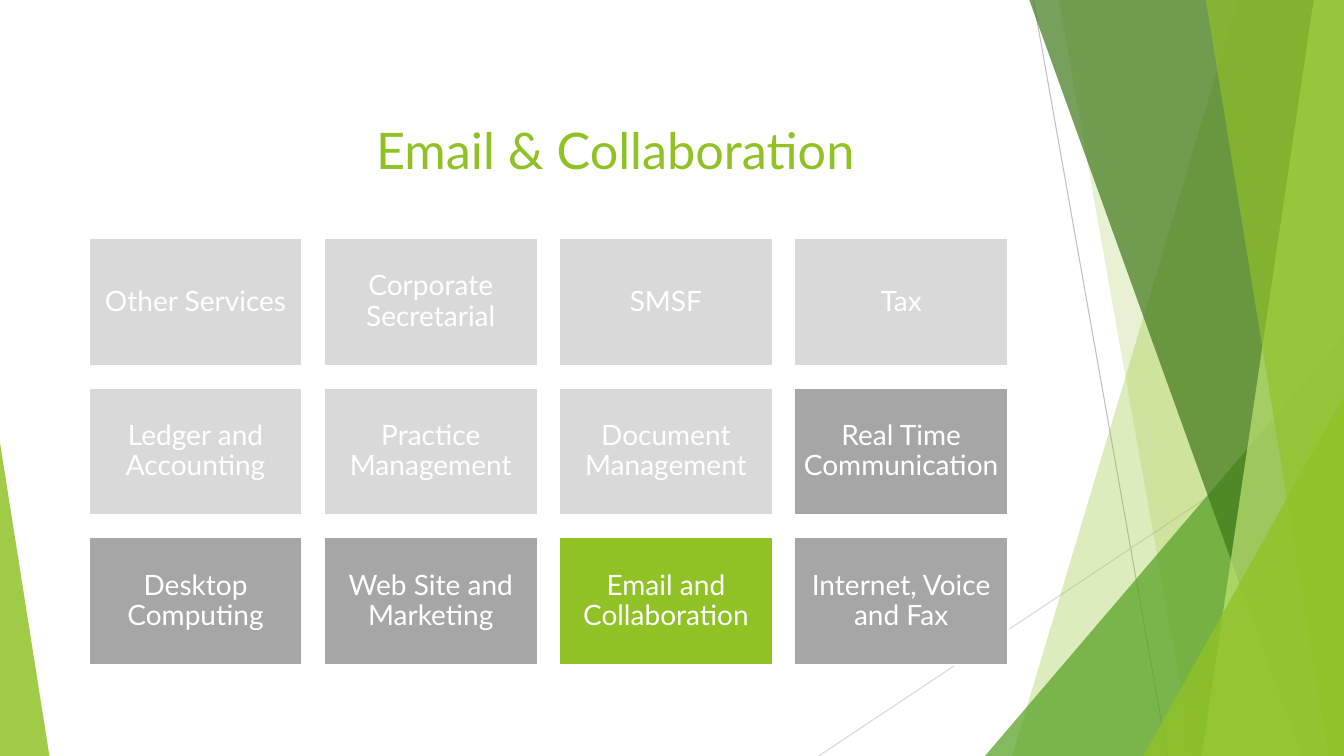
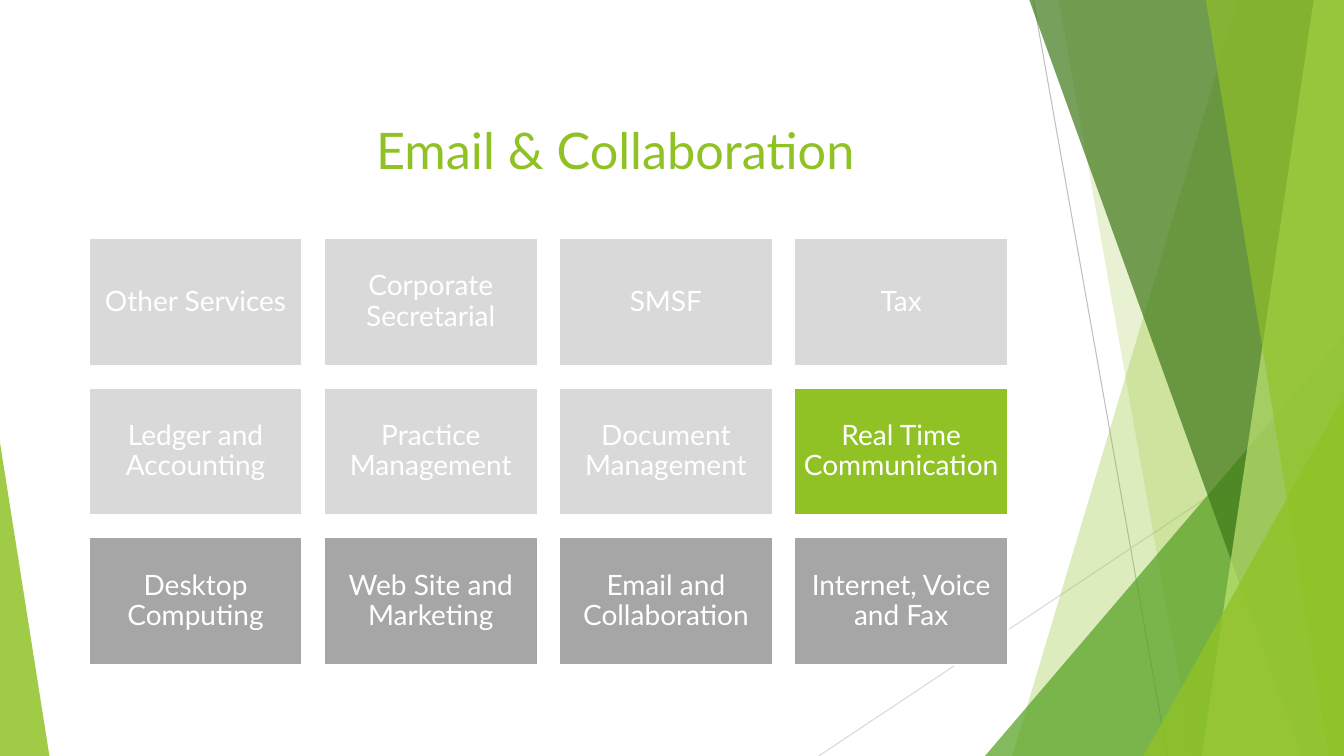
from lxml import etree
from pptx import Presentation, util as u
from pptx.dml.color import RGBColor
from pptx.enum import shapes, text
from pptx.oxml.ns import qn

COLORS = {
    "accent": "90C226",
    "leaf": "54A021",
    "forest": "3F7819",
    "lime": "C0E474",
    "light": "D9D9D9",
    "mid": "A6A6A6",
    "rule": "BFBFBF",
    "white": "FFFFFF",
}
FONT = "Lato"
WIDTH, HEIGHT = u.Inches(13.33), u.Inches(7.5)

SERVICES = [
    "Other Services", "Corporate Secretarial", "SMSF", "Tax",
    "Ledger and Accounting", "Practice Management", "Document Management",
    "Real Time Communication",
    "Desktop Computing", "Web Site and Marketing", "Email and Collaboration",
    "Internet, Voice and Fax",
]
LIGHT_SERVICES = SERVICES[:7]
TILE_COLUMNS = 4
TILE_LEFT, TILE_TOP = 6.6, 31.47
TILE_WIDTH, TILE_HEIGHT = 15.9, 16.93
COLUMN_STEP, ROW_STEP = 17.5, 19.8

RULES = [
    (76.89, 0, 86.87, 100, "rule"),
    (100, 53.73, 60.92, 100, "light"),
]
BACK_BANDS = [(92.12, 75.32, "accent", 30), (78.77, 88.75, "accent", 20)]
FRONT_BANDS = [
    (76.59, 96.85, "forest", 70),
    (97.75, 89.42, "lime", 70),
    (89.72, 98.87, "accent", 65),
]


def rgb(color):
    return RGBColor.from_string(COLORS[color])


def across(share):
    return round(WIDTH * share / 100)


def down(share):
    return round(HEIGHT * share / 100)


def box(left, top, width, height):
    return across(left), down(top), across(width), down(height)


def write(frame, words, *, size, color, align, anchor, inset=None, spacing=None):
    frame.word_wrap = True
    frame.auto_size = text.MSO_AUTO_SIZE.NONE
    frame.vertical_anchor = anchor
    if inset is not None:
        frame.margin_left = frame.margin_right = u.Inches(inset)
        frame.margin_top = frame.margin_bottom = u.Inches(inset)
    frame.text = words
    paragraph = frame.paragraphs[0]
    paragraph.alignment = align
    paragraph.line_spacing = spacing
    font = paragraph.runs[0].font
    font.name, font.size = FONT, u.Pt(size)
    font.color.rgb = rgb(color)


class Deck:
    def __init__(self):
        self.file = Presentation()
        self.file.slide_width, self.file.slide_height = WIDTH, HEIGHT
        self.slide = None

    def start(self, heading):
        self.slide = self.file.slides.add_slide(self.file.slide_layouts[5])
        self.facets()
        title = self.slide.shapes.title
        title.left, title.top, title.width, title.height = box(
            27.23, 12.53, 48.84, 11.87)
        write(title.text_frame, heading, size=36, color="accent",
              align=text.PP_ALIGN.LEFT, anchor=text.MSO_ANCHOR.BOTTOM)

    def paint(self, shape, color, opacity=100):
        shape.shadow.inherit = False
        shape.fill.solid()
        shape.fill.fore_color.rgb = rgb(color)
        shape.line.fill.background()
        if opacity < 100:
            tint = next(shape.element.iter(qn("a:srgbClr")))
            etree.SubElement(tint, qn("a:alpha"), val=str(opacity * 1000))

    def rule(self, x1, y1, x2, y2, color):
        line = self.slide.shapes.add_connector(
            shapes.MSO_CONNECTOR.STRAIGHT,
            across(x1), down(y1), across(x2), down(y2))
        line.line.color.rgb = rgb(color)
        line.line.width = u.Pt(0.75)
        etree.SubElement(line.element.spPr, qn("a:effectLst"))

    def band(self, top_x, bottom_x, color, opacity):
        outline = self.slide.shapes.build_freeform(across(top_x), 0)
        outline.add_line_segments(
            [(WIDTH, 0), (WIDTH, HEIGHT), (across(bottom_x), HEIGHT)])
        self.paint(outline.convert_to_shape(), color, opacity)

    def corner(self, left, top, width, apex, color, opacity):
        triangle = self.slide.shapes.add_shape(
            shapes.MSO_SHAPE.ISOSCELES_TRIANGLE,
            *box(left, top, width, 100 - top))
        triangle.adjustments[0] = apex
        self.paint(triangle, color, opacity)

    def facets(self):
        for rule in RULES:
            self.rule(*rule)
        for band in BACK_BANDS:
            self.band(*band)
        self.corner(73.29, 44.4, 26.71, 1, "leaf", 72)
        for band in FRONT_BANDS:
            self.band(*band)
        self.corner(85.07, 52.4, 14.93, 1, "accent", 80)
        self.corner(0, 58.53, 3.68, 0, "accent", 85)

    def tile(self, column, row, service, color):
        tile = self.slide.shapes.add_shape(
            shapes.MSO_SHAPE.RECTANGLE,
            *box(TILE_LEFT + column * COLUMN_STEP, TILE_TOP + row * ROW_STEP,
                 TILE_WIDTH, TILE_HEIGHT))
        self.paint(tile, color)
        tile.line.color.rgb = rgb("white")
        tile.line.width = u.Pt(1.5)
        write(tile.text_frame, service, size=20, color="white",
              align=text.PP_ALIGN.CENTER, anchor=text.MSO_ANCHOR.MIDDLE,
              inset=0.08, spacing=0.9)

    def service_map(self, current):
        for index, service in enumerate(SERVICES):
            row, column = divmod(index, TILE_COLUMNS)
            color = "light" if service in LIGHT_SERVICES else "mid"
            self.tile(column, row, service,
                      "accent" if service == current else color)


def main():
    deck = Deck()
    for current in ("Email and Collaboration", "Real Time Communication"):
        deck.start("Email & Collaboration")
        deck.service_map(current)
    deck.file.save("out.pptx")


if __name__ == "__main__":
    main()
